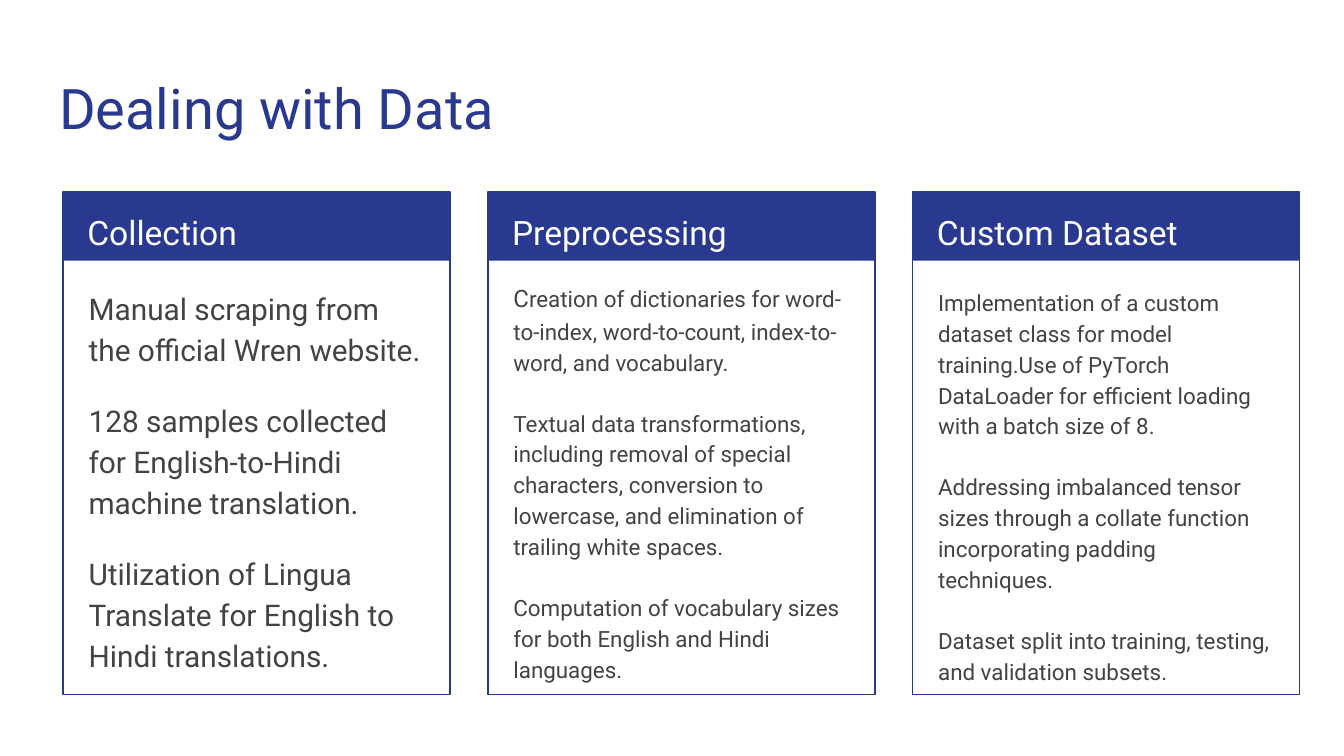
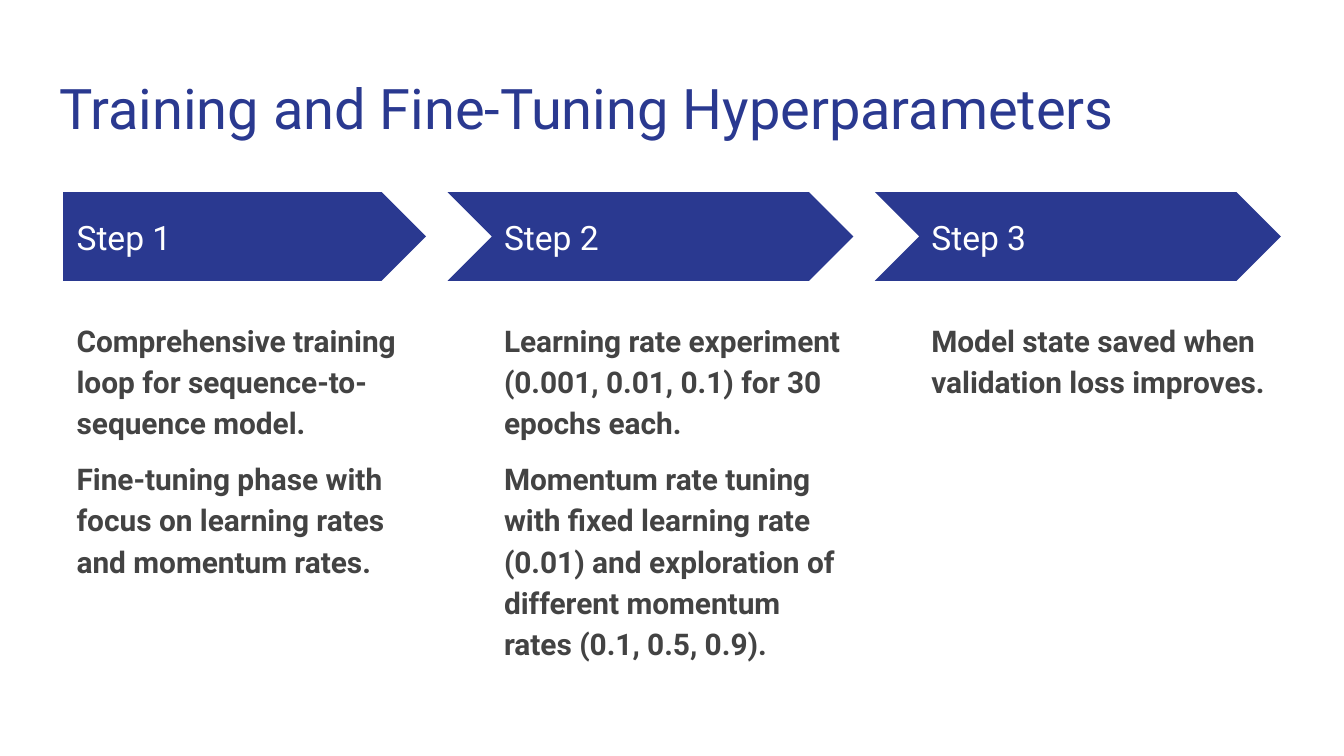
from copy import deepcopy
from dataclasses import dataclass

from pptx import Presentation
from pptx.dml.color import RGBColor
from pptx.enum.shapes import MSO_SHAPE
from pptx.enum.text import MSO_ANCHOR, MSO_AUTO_SIZE, PP_ALIGN
from pptx.oxml.ns import qn
from pptx.util import Inches, Pt
from lxml import etree

RECT = MSO_SHAPE.RECTANGLE
PLATE = MSO_SHAPE.PENTAGON
CHEVRON = MSO_SHAPE.CHEVRON
TOP = MSO_ANCHOR.TOP
MIDDLE = MSO_ANCHOR.MIDDLE
LEFT = PP_ALIGN.LEFT
NO_FIT = MSO_AUTO_SIZE.NONE


@dataclass(frozen=True)
class Theme:
    font: str = "Roboto"
    blue: RGBColor = RGBColor(0x2A, 0x39, 0x90)
    white: RGBColor = RGBColor(0xFF, 0xFF, 0xFF)
    grey: RGBColor = RGBColor(0x43, 0x43, 0x43)
    title: int = 30
    head: int = 18
    large: int = 16
    small: int = 12
    line: float = 0.75


THEME = Theme()
EDGE = 0.47
ROW = 1.43
HEADS = (1, 3, 13)
LISTS = (2, 4, 14)

CARDS = [
    ("Collection", 2.02, THEME.large, [
        "Manual scraping from the official Wren website.",
        "128 samples collected for English-to-Hindi machine translation.",
        "Utilization of Lingua Translate for English to Hindi translations.",
    ]),
    ("Preprocessing", 1.93, THEME.small, [
        "creation of dictionaries for word-to-index, word-to-count, "
        "index-to-word, and vocabulary.",
        "Textual data transformations, including removal of special characters, "
        "conversion to lowercase, and elimination of trailing white spaces.",
        "Computation of vocabulary sizes for both English and Hindi languages.",
    ]),
    ("Custom Dataset", 2.02, THEME.small, [
        "Implementation of a custom dataset class for model training.Use of "
        "PyTorch DataLoader for efficient loading with a batch size of 8.",
        "Addressing imbalanced tensor sizes through a collate function "
        "incorporating padding techniques.",
        "Dataset split into training, testing, and validation subsets.",
    ]),
]

STEPS = [
    ("Step 1", [
        "Comprehensive training loop for sequence-to-sequence model.",
        "Fine-tuning phase with focus on learning rates and momentum rates.",
    ]),
    ("Step 2", [
        "Learning rate experiment (0.001, 0.01, 0.1) for 30 epochs each.",
        "Momentum rate tuning with fixed learning rate (0.01) and exploration "
        "of different momentum rates (0.1, 0.5, 0.9).",
    ]),
    ("Step 3", ["Model state saved when validation loss improves."]),
]


def widen(layout):
    slots = {slot.placeholder_format.idx: slot for slot in layout.placeholders}
    for base, index in ((1, 13), (2, 14)):
        twin = deepcopy(slots[base].element)
        twin.find(".//" + qn("p:ph")).set("idx", str(index))
        twin.find(".//" + qn("p:cNvPr")).set("id", str(index + 10))
        slots[base].element.addnext(twin)


def place(box, left, top, width, height):
    box.left, box.top = Inches(left), Inches(top)
    box.width, box.height = Inches(width), Inches(height)


def add_run(para, text, size, color, bold=False):
    run = para.add_run()
    run.text = text
    font = run.font
    font.name, font.size, font.bold = THEME.font, Pt(size), bold
    font.color.rgb = color
    return run


def add_para(frame, first, spacing, before=0, after=0):
    para = frame.paragraphs[0] if first else frame.add_paragraph()
    para.alignment = LEFT
    para.line_spacing = spacing
    para.space_before, para.space_after = Pt(before), Pt(after)
    props = para._p.get_or_add_pPr()
    props.set("marL", "0")
    props.set("indent", "0")
    etree.SubElement(props, qn("a:buNone"))
    return para


def set_frame(box, spot, anchor=TOP):
    place(box, *spot)
    box.element.getparent().append(box.element)
    frame = box.text_frame
    frame.word_wrap, frame.auto_size = True, NO_FIT
    frame.vertical_anchor = anchor
    frame.margin_left = frame.margin_right = Inches(0.1)
    frame.margin_top = frame.margin_bottom = Inches(0.1)
    return frame


def add_label(box, spot, text, size, color, spacing=1.0, anchor=TOP):
    frame = set_frame(box, spot, anchor)
    add_run(add_para(frame, True, spacing), text, size, color)


def add_list(box, spot, items, size, gap, bold=False):
    frame = set_frame(box, spot)
    last = len(items) - 1
    for i, text in enumerate(items):
        para = add_para(frame, i == 0, 1.15, gap if i else 0,
                        gap if i == last else 0)
        if text[0].islower():
            cap = add_run(para, text[0], THEME.large, THEME.grey, bold)
            cap.font._element.set("cap", "small")
            text = text[1:]
        add_run(para, text, size, THEME.grey, bold)


def add_block(shapes, kind, spot, solid=True):
    block = shapes.add_shape(kind, *map(Inches, spot))
    block.shadow.inherit = False
    if solid:
        block.fill.solid()
        block.fill.fore_color.rgb = THEME.blue
        block.line.fill.background()
    else:
        block.fill.background()
        block.line.color.rgb = THEME.blue
        block.line.width = Pt(THEME.line)


def add_page(deck, layout, title):
    slide = deck.slides.add_slide(layout)
    add_label(slide.shapes.title, (0.34, 0.45, 9.32, 0.66), title,
              THEME.title, THEME.blue)
    return slide


def add_card(slide, i, head, top, size, items):
    left = EDGE + 3.16 * i
    group = slide.shapes.add_group_shape()
    add_block(group.shapes, RECT, (left, ROW, 2.88, 0.51))
    add_block(group.shapes, RECT, (left, ROW, 2.88, 3.74), solid=False)
    slots = slide.placeholders
    add_label(slots[HEADS[i]], (left + 0.08, ROW, 2.73, 0.5), head,
              THEME.head, THEME.white, 1.15)
    add_list(slots[LISTS[i]], (left + 0.09, top, 2.71, 3.06), items, size, 16)


def add_step(slide, i, head, items):
    left = EDGE + 3.18 * i
    notch = 0.32 if i else 0
    add_block(slide.shapes, CHEVRON if i else PLATE,
              (left - notch, ROW, 2.7 + notch, 0.66))
    slots = slide.placeholders
    add_label(slots[HEADS[i]], (left, 1.59, 2.47, 0.34), head,
              THEME.head, THEME.white, anchor=MIDDLE)
    add_list(slots[LISTS[i]], (left, 2.26, 2.72, 2.9), items,
             THEME.large, 8, bold=True)


def main():
    deck = Presentation()
    deck.slide_width = Inches(10)
    deck.slide_height = Inches(10) * 9 // 16
    layout = deck.slide_layouts.get_by_name("Comparison")
    widen(layout)

    data = add_page(deck, layout, "Dealing with Data")
    for i, card in enumerate(CARDS):
        add_card(data, i, *card)

    train = add_page(deck, layout, "Training and Fine-Tuning Hyperparameters")
    for i, step in enumerate(STEPS):
        add_step(train, i, *step)

    deck.save("out.pptx")


if __name__ == "__main__":
    main()
